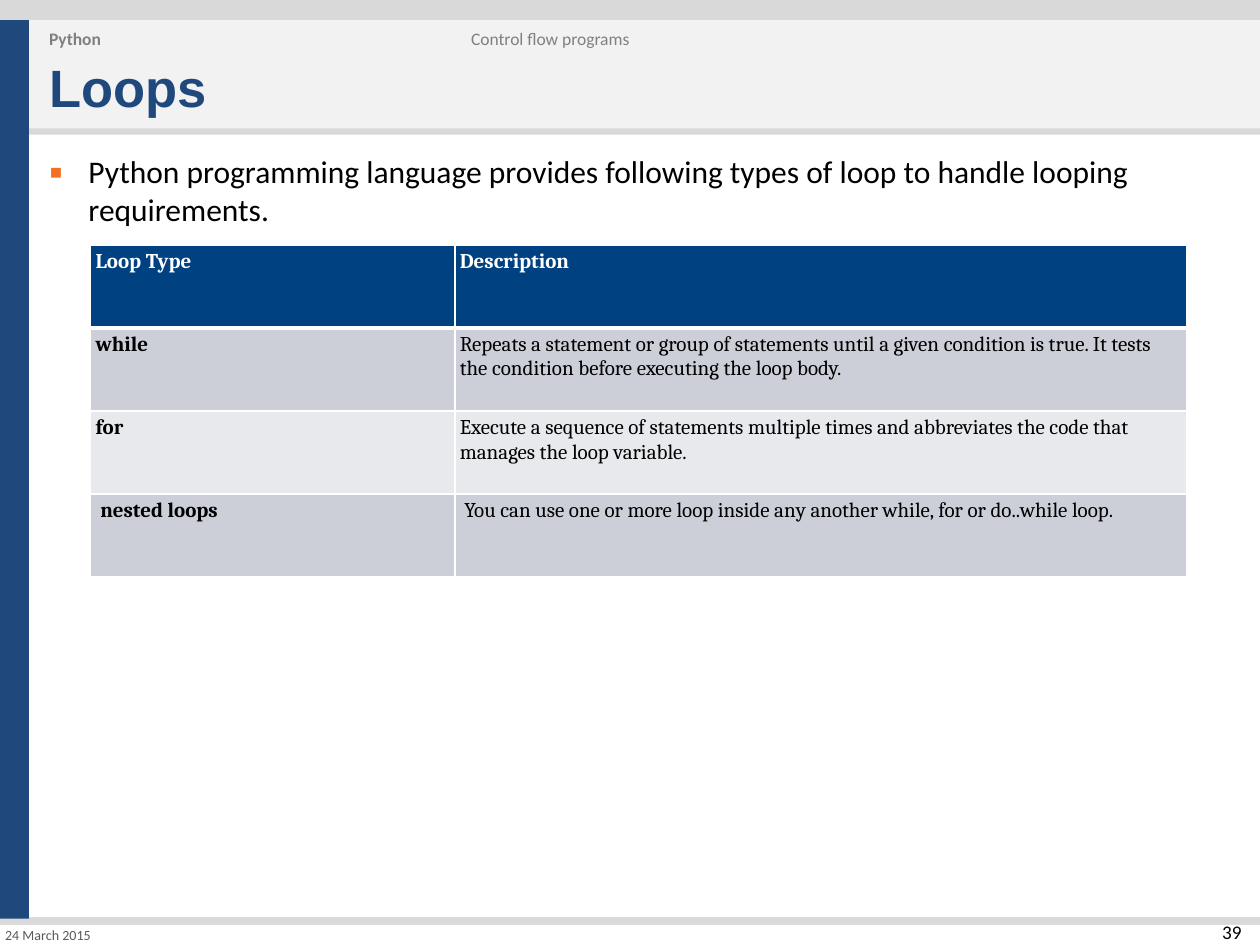
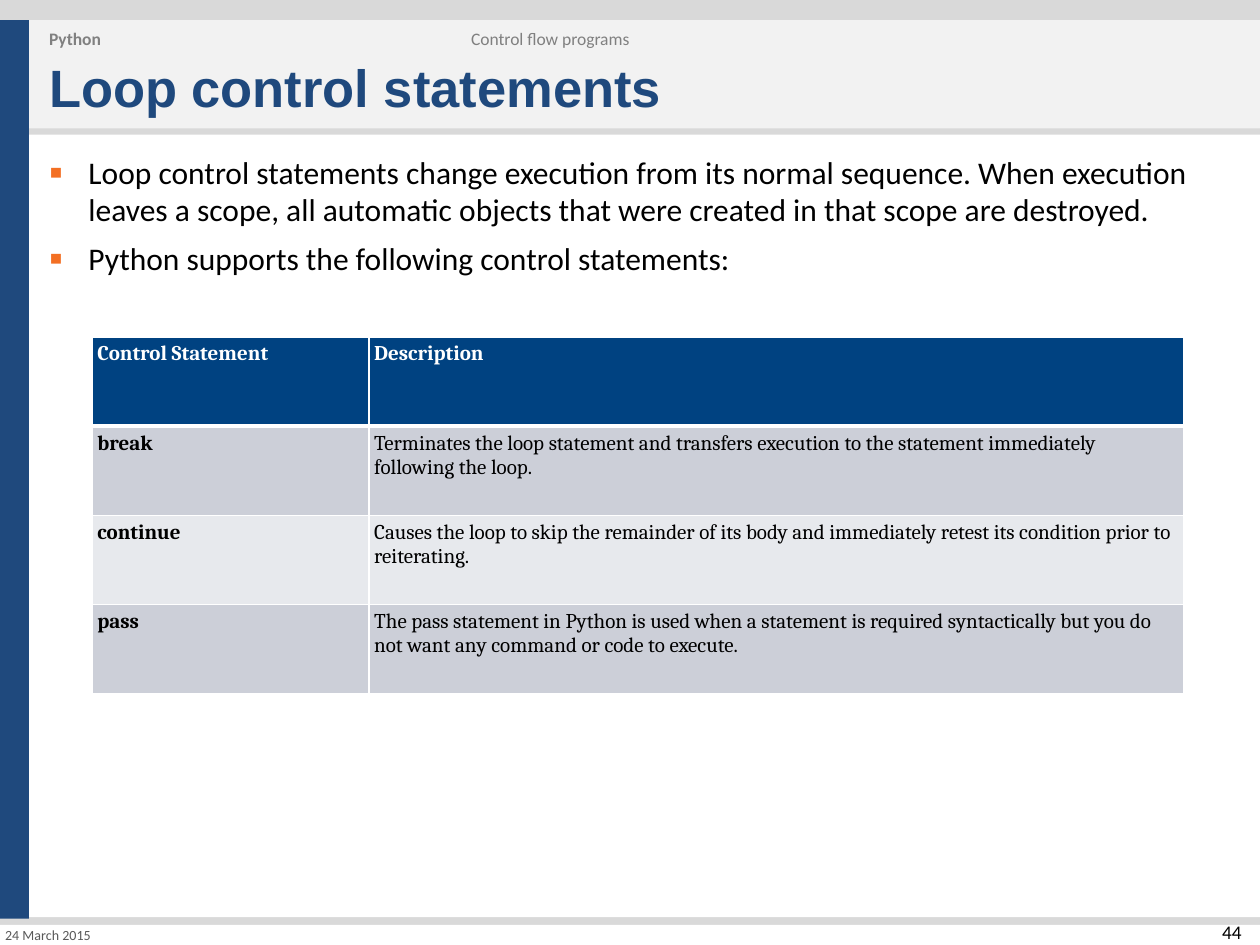
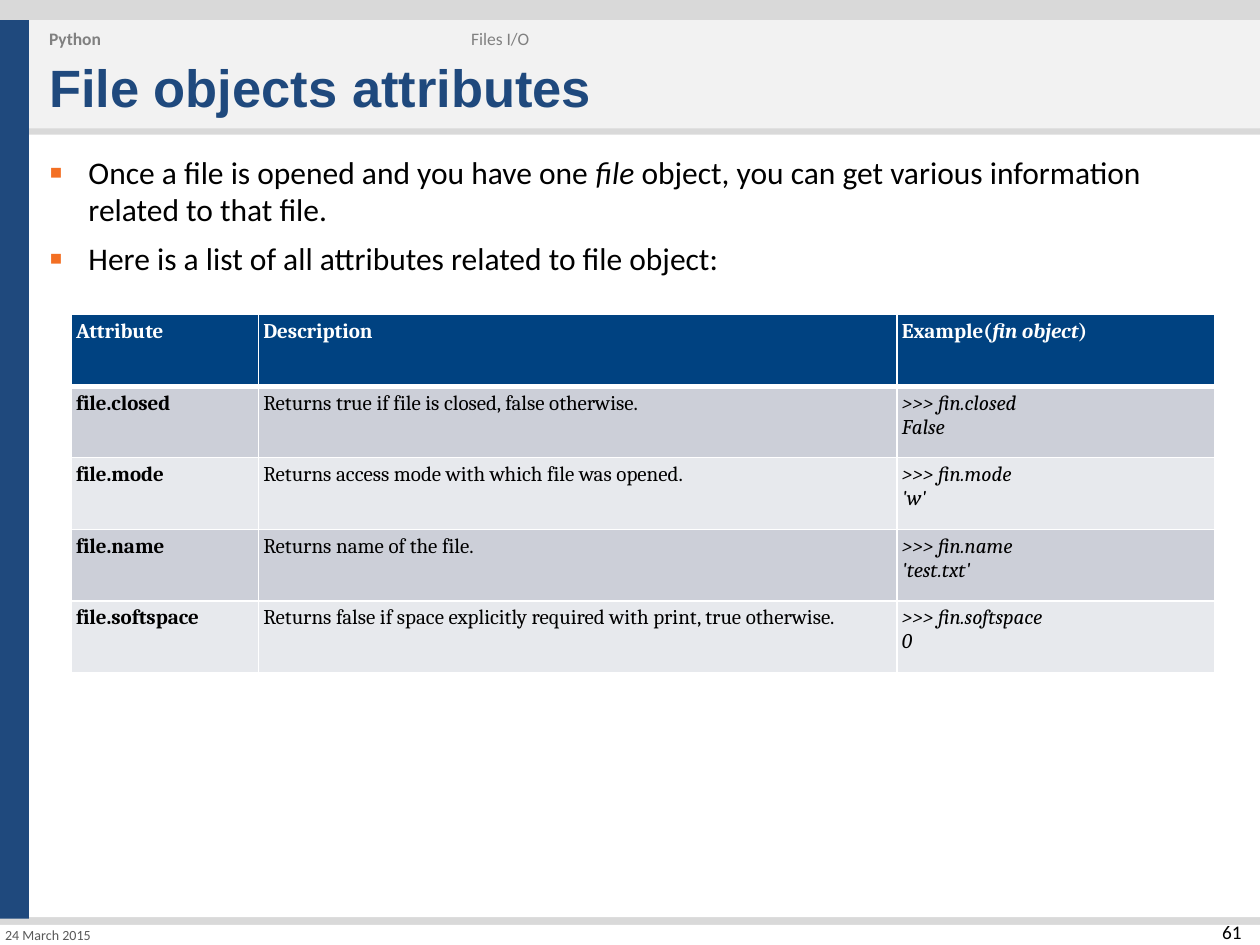
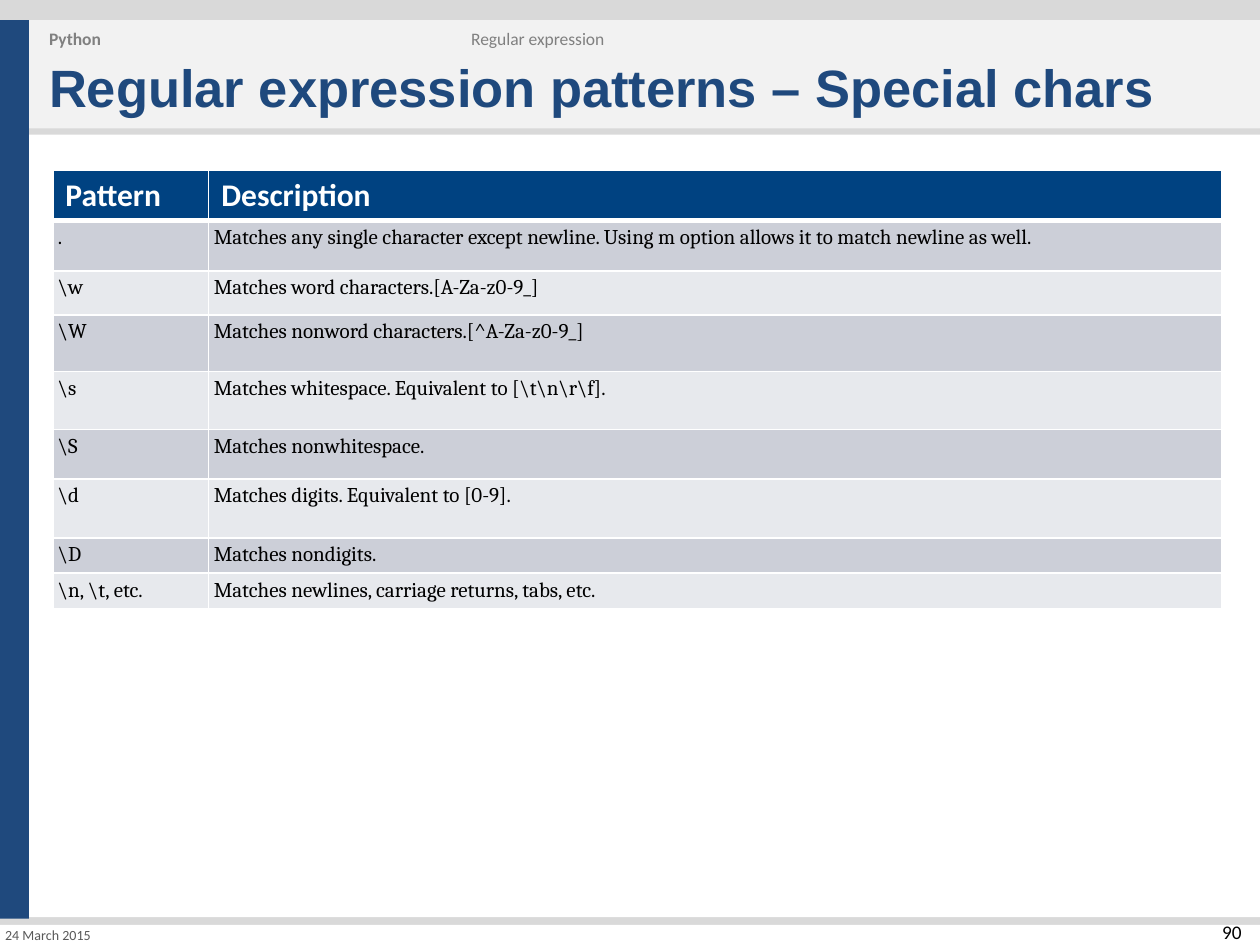
"""Build four Python course slides, each with a title, bullets and a table."""
from lxml.etree import SubElement
from pptx import Presentation
from pptx.dml.color import RGBColor
from pptx.enum.shapes import MSO_SHAPE
from pptx.enum.text import MSO_ANCHOR, PP_ALIGN
from pptx.oxml.ns import qn
from pptx.util import Pt

TONES = {
    "back": "D9D9D9", "navy": "1F497D", "pale": "F2F2F2", "white": "FFFFFF",
    "black": "000000", "gray": "808080", "date": "595959", "mark": "F36F23",
    "head": "004281", "odd": "CCCFD8", "even": "E7E9ED",
}

BANDS = [
    (0, 11.5, 16.6, 513.4, "navy"),
    (16.6, 11.5, 703.4, 61.9, "pale"),
    (16.6, 77, 703.4, 447.1, "white"),
    (0, 528.5, 720, 11.5, "white"),
]

PAGES = [
    {
        "num": 39, "topic": "Control flow programs", "title": "Loops",
        "points": ["Python programming language provides following types of loop to handle looping requirements."],
        "spot": (51.8, 139.9), "cols": [208.1, 418.3], "rows": [47.5] * 4,
        "cells": [
            ("Loop Type", "Description"),
            ("while", "Repeats a statement or group of statements until a given condition is true. It tests the condition before executing the loop body."),
            ("for", "Execute a sequence of statements multiple times and abbreviates the code that manages the loop variable."),
            (" nested loops", " You can use one or more loop inside any another while, for or do..while loop."),
        ],
    },
    {
        "num": 44, "topic": "Control flow programs", "title": "Loop control statements",
        "points": [
            "Loop control statements change execution from its normal sequence. When execution leaves a scope, all automatic objects that were created in that scope are destroyed.",
            "Python supports the following control statements:",
        ],
        "spot": (52.8, 192.5), "cols": [158.2, 465.6], "rows": [51] * 4,
        "cells": [
            ("Control Statement", "Description"),
            ("break", "Terminates the loop statement and transfers execution to the statement immediately following the loop."),
            ("continue", "Causes the loop to skip the remainder of its body and immediately retest its condition prior to reiterating."),
            ("pass", "The pass statement in Python is used when a statement is required syntactically but you do not want any command or code to execute."),
        ],
    },
    {
        "num": 61, "topic": "Files I/O", "title": "File objects attributes",
        "points": [
            "Once a file is opened and you have one *file* object, you can get various information related to that file.",
            "Here is a list of all attributes related to file object:",
        ],
        "spot": (40.6, 179.8), "cols": [107, 365, 181.6], "rows": [40.9] * 5,
        "cells": [
            ("Attribute", "Description", "Example(*fin object*)"),
            ("file.closed", "Returns true if file is closed, false otherwise.", "*>>> fin.closed*\n*False*"),
            ("file.mode", "Returns access mode with which file was opened.", "*>>> fin.mode*\n*'w'*"),
            ("file.name", "Returns name of the file.", "*>>> fin.name*\n*'test.txt'*"),
            ("file.softspace", "Returns false if space explicitly required with print, true otherwise.", "*>>> fin.softspace*\n*0*"),
        ],
    },
    {
        "num": 90, "topic": "Regular expression",
        "title": "Regular expression patterns – Special chars",
        "points": [], "plain": True,
        "spot": (30.2, 97.2), "cols": [89.1, 578.9],
        "rows": [28.2, 28.8, 25.2, 32.4, 33.1, 28.1, 33.8, 18.9, 18.9],
        "cells": [
            ("Pattern", "Description"),
            (".", "Matches any single character except newline. Using m option allows it to match newline as well."),
            (r"\w", "Matches word characters.[A-Za-z0-9_]"),
            (r"\W", "Matches nonword characters.[^A-Za-z0-9_]"),
            (r"\s", r"Matches whitespace. Equivalent to [\t\n\r\f]."),
            (r"\S", "Matches nonwhitespace."),
            (r"\d", "Matches digits. Equivalent to [0-9]."),
            (r"\D", "Matches nondigits."),
            (r"\n, \t, etc.", "Matches newlines, carriage returns, tabs, etc."),
        ],
    },
]


def write(frame, lines, font, size, tone, bold=False):
    """Fill a frame with lines; text between asterisks is italic."""
    for n, line in enumerate(lines):
        para = frame.add_paragraph() if n else frame.paragraphs[0]
        for k, part in enumerate(line.split("*")):
            if part:
                run = para.add_run()
                run.text = part
                run.font.name, run.font.size = font, Pt(size)
                run.font.bold, run.font.italic = bold, k % 2 == 1
                run.font.color.rgb = RGBColor.from_string(TONES[tone])


def label(slide, area, lines, font, size, tone, bold=False, pad=5.76, anchor=MSO_ANCHOR.MIDDLE):
    """Add a text box and return its frame."""
    frame = slide.shapes.add_textbox(*map(Pt, area)).text_frame
    frame.word_wrap = True
    frame.vertical_anchor = anchor
    frame.margin_left = frame.margin_right = Pt(pad)
    frame.margin_top = frame.margin_bottom = Pt(pad)
    write(frame, lines, font, size, tone, bold)
    return frame


deck = Presentation()
deck.slide_width, deck.slide_height = Pt(720), Pt(540)
fill = deck.slide_master.background.fill
fill.solid()
fill.fore_color.rgb = RGBColor.from_string(TONES["back"])

for page in PAGES:
    slide = deck.slides.add_slide(deck.slide_layouts[6])
    for *area, tone in BANDS:
        band = slide.shapes.add_shape(MSO_SHAPE.RECTANGLE, *map(Pt, area))
        band.shadow.inherit = False
        band.fill.solid()
        band.fill.fore_color.rgb = RGBColor.from_string(TONES[tone])
        band.line.fill.background()

    frame = label(slide, (654.5, 525.6, 57.6, 20.2), [f"{page['num']} "],
                  "Calibri", 11, "black", pad=0, anchor=MSO_ANCHOR.TOP)
    frame.paragraphs[0].alignment = PP_ALIGN.RIGHT
    label(slide, (22.3, 25.9, 686.9, 47.5), [page["title"]], "Arial", 30, "navy",
          True, anchor=MSO_ANCHOR.BOTTOM)
    label(slide, (22.3, 10.1, 243.4, 23.8), ["Python"], "Calibri", 10, "gray", True)
    label(slide, (263.5, 10.1, 293, 23.8), [page["topic"]], "Calibri", 10, "gray")
    label(slide, (0, 528.5, 90, 11.5), ["24 March 2015"], "Calibri", 8, "date", pad=2.88)

    if page["points"]:
        tall = 54.7 if len(page["points"]) == 1 else 82.8
        frame = label(slide, (22.3, 81.4, 685.4, tall), page["points"],
                      "Calibri", 18, "black", anchor=MSO_ANCHOR.TOP)
        for para in frame.paragraphs:
            para.space_after = Pt(6)
            props = para._p.get_or_add_pPr()
            props.set("marL", str(Pt(22.5)))
            props.set("indent", str(-Pt(22.5)))
            tint = SubElement(props, qn("a:buClr"))
            SubElement(tint, qn("a:srgbClr"), val=TONES["mark"])
            SubElement(props, qn("a:buSzPct"), val="125000")
            SubElement(props, qn("a:buFont"), typeface="Arial")
            SubElement(props, qn("a:buChar"), char="▪")

    cols, rows = page["cols"], page["rows"]
    plain = page.get("plain", False)
    area = (*page["spot"], sum(cols), sum(rows))
    grid = slide.shapes.add_table(len(rows), len(cols), *map(Pt, area)).table
    for col, wide in zip(grid.columns, cols):
        col.width = Pt(wide)
    for r, (tall, texts) in enumerate(zip(rows, page["cells"])):
        grid.rows[r].height = Pt(tall)
        for c, text in enumerate(texts):
            cell = grid.cell(r, c)
            big = plain and r == 0
            if not big:
                cell.margin_left = cell.margin_right = Pt(2.88)
                cell.margin_top = cell.margin_bottom = Pt(2.88)
            props = cell._tc.get_or_add_tcPr()
            for side in ("lnL", "lnR", "lnT", "lnB"):
                thick = 3 if (r, side) in ((0, "lnB"), (1, "lnT")) else 1
                edge = SubElement(props, qn(f"a:{side}"), w=str(Pt(thick)))
                paint = SubElement(edge, qn("a:solidFill"))
                SubElement(paint, qn("a:srgbClr"), val=TONES["white"])
            tone = "head" if r == 0 else "odd" if r % 2 else "even"
            cell.fill.solid()
            cell.fill.fore_color.rgb = RGBColor.from_string(TONES[tone])
            write(cell.text_frame, text.split("\n"),
                  "Calibri" if big else "Cambria", 18 if big else 12,
                  "black" if r else "white", r == 0 or (c == 0 and not plain))

deck.save("out.pptx")
